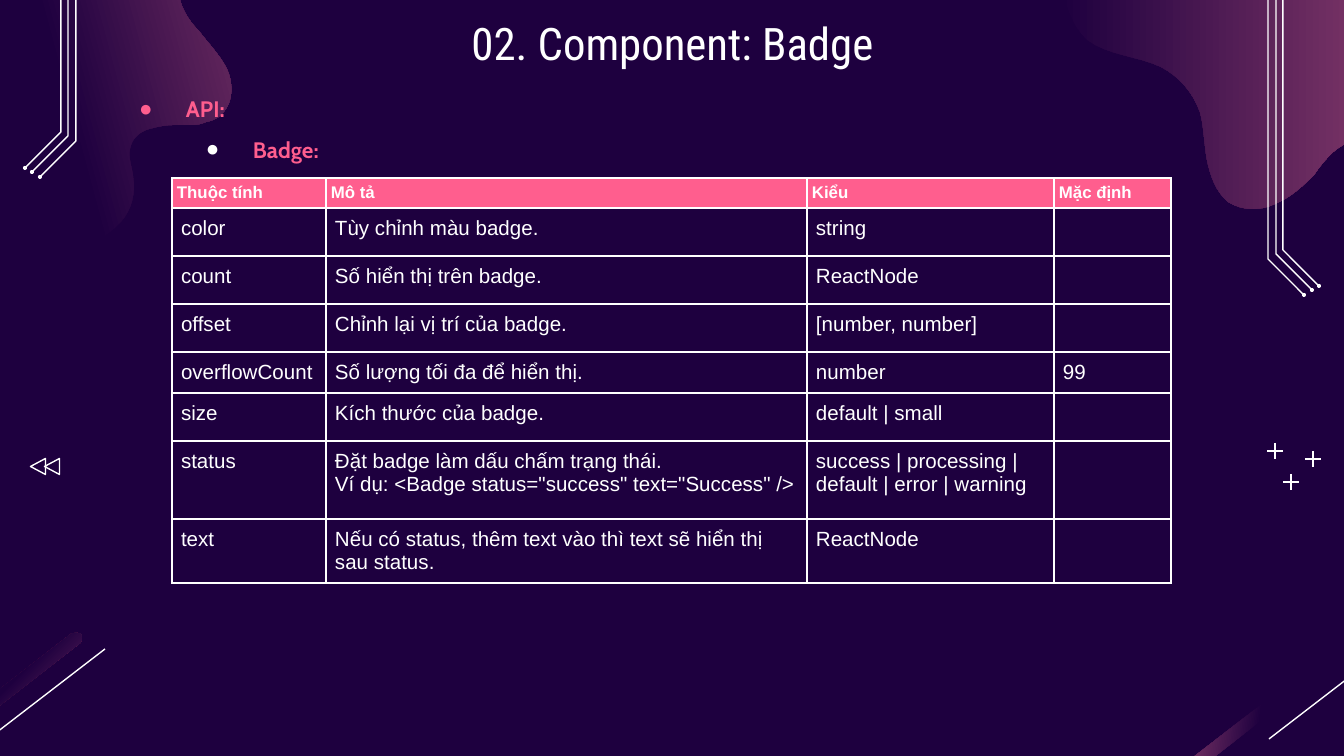
from lxml import etree
from pptx import Presentation
from pptx import util as u
from pptx.dml import color
from pptx.enum import shapes, text
from pptx.oxml import ns

EMU_PER_PX = 914400 / 134.4
NIGHT, PLUM, PINK, WHITE = "1E003F", "A64D79", "FF5E8E", "FFFFFF"


def px(length):
    return u.Emu(round(length * EMU_PER_PX))


def rgb(value):
    return color.RGBColor.from_string(value)


def add_tag(parent, tag, **attributes):
    return etree.SubElement(parent, ns.qn(tag), attributes)


def flatten(start, segments, steps=8):
    """Points along an outline; a segment holds 2 numbers (line) or 6 (curve)."""
    points = [start]
    for segment in segments:
        if len(segment) == 2:
            points.append(segment)
            continue
        ends = [points[-1], segment[:2], segment[2:4], segment[4:]]
        for step in range(1, steps + 1):
            t = step / steps
            weights = ((1 - t) ** 3, 3 * t * (1 - t) ** 2, 3 * t * t * (1 - t), t ** 3)
            points.append(tuple(sum(w * end[axis] for w, end in zip(weights, ends))
                                for axis in (0, 1)))
    return points


class Board:
    def __init__(self, deck):
        self.page = deck.slides.add_slide(deck.slide_layouts[5])
        self.page.background.fill.solid()
        self.page.background.fill.fore_color.rgb = rgb(NIGHT)
        self.items = self.page.shapes

    def stroke(self, item):
        item.line.color.rgb = rgb(WHITE)
        item.line.width = u.Pt(0.75)

    def span(self, para, words, size, font, hue=WHITE, bold=False):
        span = para.add_run()
        span.text = words
        span.font.size, span.font.name, span.font.bold = u.Pt(size), font, bold
        span.font.color.rgb = rgb(hue)

    def outline(self, points, closed=True):
        start, *rest = [(px(x), px(y)) for x, y in points]
        builder = self.items.build_freeform(*start, scale=1.0)
        builder.add_line_segments(rest, close=closed)
        shape = builder.convert_to_shape()
        shape.shadow.inherit = False
        return shape

    def glow(self, points, angle, dark_until=0, radial=False):
        shape = self.outline(points)
        shape.line.fill.background()
        shape.fill.gradient()
        shape.fill.gradient_angle = angle
        for stop, hue, position in zip(shape.fill.gradient_stops, (NIGHT, PLUM), (dark_until, 1)):
            stop.color.rgb = rgb(hue)
            stop.position = position
        if radial:
            linear = shape.element.spPr.find(".//" + ns.qn("a:lin"))
            grad = linear.getparent()
            grad.remove(linear)
            add_tag(add_tag(grad, "a:path", path="circle"), "a:fillToRect", r="100000", b="100000")

    def polyline(self, points):
        shape = self.outline(points, closed=False)
        shape.fill.background()
        self.stroke(shape)

    def line(self, x1, y1, x2, y2):
        line = self.items.add_connector(shapes.MSO_CONNECTOR.STRAIGHT, px(x1), px(y1), px(x2), px(y2))
        self.stroke(line)
        add_tag(line.element.spPr, "a:effectLst")

    def dot(self, x, y, size=4):
        dot = self.items.add_shape(shapes.MSO_SHAPE.OVAL, px(x - size / 2), px(y - size / 2),
                                   px(size), px(size))
        dot.shadow.inherit = False
        dot.fill.solid()
        dot.fill.fore_color.rgb = rgb(WHITE)
        dot.line.fill.background()

    def triangle(self, left, top, width, height):
        shape = self.items.add_shape(shapes.MSO_SHAPE.ISOSCELES_TRIANGLE,
                                     px(left), px(top), px(width), px(height))
        shape.rotation = 270
        shape.shadow.inherit = False
        shape.fill.background()
        self.stroke(shape)

    def frame(self, box, left, top, width, height, inset=13):
        box.left, box.top, box.width, box.height = px(left), px(top), px(width), px(height)
        frame = box.text_frame
        frame.word_wrap = True
        frame.auto_size = text.MSO_AUTO_SIZE.NONE
        frame.margin_left = frame.margin_right = frame.margin_top = frame.margin_bottom = px(inset)
        return frame

    def title(self, words, *place):
        frame = self.frame(self.items.title, *place)
        frame.vertical_anchor = text.MSO_ANCHOR.MIDDLE
        para = frame.paragraphs[0]
        para.alignment = text.PP_ALIGN.CENTER
        self.span(para, words, 24, "Roboto Condensed")

    def bullets(self, entries, *place):
        frame = self.frame(self.items.add_textbox(0, 0, 0, 0), *place)
        for level, (words, bullet_hue) in enumerate(entries):
            para = frame.add_paragraph() if level else frame.paragraphs[0]
            para.level, para.line_spacing = level, 1.5
            props = para._p.get_or_add_pPr()
            props.set("marL", str(px(67 * (level + 1))))
            props.set("indent", str(px(-47)))
            add_tag(add_tag(props, "a:buClr"), "a:srgbClr", val=bullet_hue)
            add_tag(props, "a:buFont", typeface="Arial")
            add_tag(props, "a:buChar", char="●")
            self.span(para, words, 12, "Cabin", PINK, True)

    def table(self, rows, left, top, widths, heights):
        grid = self.items.add_table(len(rows), len(widths), px(left), px(top),
                                    px(sum(widths)), px(sum(heights))).table
        grid.first_row = grid.horz_banding = False
        for column, width in zip(grid.columns, widths):
            column.width = px(width)
        for index, (row, height) in enumerate(zip(rows, heights)):
            grid.rows[index].height = px(height)
            for cell, words in zip(grid.rows[index].cells, row):
                self.cell(cell, words, header=index == 0)

    def cell(self, cell, words, header):
        inset = 5 if header else 9
        cell.margin_left = cell.margin_right = px(inset)
        cell.margin_top = cell.margin_bottom = px(inset if words else 0)
        props = cell._tc.get_or_add_tcPr()
        for side in ("a:lnL", "a:lnR", "a:lnT", "a:lnB"):
            border = add_tag(props, side, w=str(u.Pt(1)))
            add_tag(add_tag(border, "a:solidFill"), "a:srgbClr", val=WHITE)
        if header:
            cell.fill.solid()
            cell.fill.fore_color.rgb = rgb(PINK)
        else:
            cell.fill.background()
        for number, words_line in enumerate(words.split("\n") if words else []):
            para = cell.text_frame.add_paragraph() if number else cell.text_frame.paragraphs[0]
            self.span(para, words_line, 9 if header else 11, "Arial", bold=header)


LEFT_WAVE = flatten((65, 255), [
    (99, 246, 116, 227, 121, 222), (132, 210, 136, 192, 133, 176), (132, 167, 128, 157, 130, 149),
    (132, 137, 142, 130, 153, 128), (167, 124, 179, 125, 191, 125), (196, 125, 202, 124, 206, 122),
    (212, 121, 219, 118, 223, 113), (234, 101, 233, 82, 227, 69), (220, 55, 208, 43, 199, 31),
    (188, 20, 179, 5, 179, -9), (179, -22, 183, -34, 192, -42), (198, -47, 206, -51, 214, -52),
    (226, -56, 241, -56, 255, -55), (270, -55, 285, -54, 300, -56), (319, -62, 331, -69, 339, -78),
    (348, -89, 351, -105, 347, -117), (344, -141, 328, -168, 313, -180),
    (289, -202, 255, -208, 224, -203), (173, -188, 138, -148, 94, -128),
    (87, -125, 79, -122, 73, -121), (30, -109, -17, -114, -63, -110),
    (-83, -109, -103, -105, -122, -99), (-140, -95, -156, -90, -172, -82),
    (-195, -73, -218, -59, -234, -40), (-250, -23, -262, 3, -261, 30),
    (-259, 62, -237, 91, -210, 108), (-181, 125, -151, 130, -118, 133),
    (-99, 136, -81, 136, -62, 142), (-43, 148, -26, 160, -17, 179),
    (-11, 194, -11, 208, -4, 223), (8, 247, 39, 262, 63, 255)])
RIGHT_WAVE = flatten((1512, 51), [
    (1512, 17, 1503, -17, 1485, -47), (1470, -73, 1449, -94, 1422, -103),
    (1392, -114, 1360, -109, 1329, -113), (1300, -117, 1270, -130, 1249, -152),
    (1234, -165, 1222, -181, 1206, -190), (1187, -199, 1165, -196, 1145, -192),
    (1129, -188, 1113, -183, 1101, -173), (1079, -157, 1070, -130, 1066, -105),
    (1062, -87, 1060, -69, 1060, -51), (1060, -42, 1060, -32, 1062, -24),
    (1063, 0, 1070, 24, 1087, 40), (1109, 56, 1138, 56, 1161, 67), (1180, 77, 1193, 93, 1200, 112),
    (1204, 126, 1204, 144, 1207, 160), (1210, 175, 1216, 192, 1228, 202),
    (1242, 211, 1261, 211, 1275, 204), (1290, 198, 1302, 187, 1314, 175),
    (1321, 165, 1328, 156, 1337, 149), (1347, 142, 1357, 138, 1368, 142),
    (1388, 148, 1395, 175, 1414, 185), (1458, 211, 1489, 151, 1501, 118),
    (1508, 97, 1512, 74, 1512, 51)])
STREAK = flatten((75, 633), [(77, 633, 79, 633, 81, 634), (82, 638, 82, 642, 79, 644), (-109, 790),
                             (-113, 791, -117, 791, -118, 789), (-121, 786, -121, 782, -117, 780),
                             (71, 634)])
RAILS = [[(61, -278), (61, 132), (25, 168)], [(68, -278), (68, 136), (32, 172)],
         [(76, -278), (76, 141), (40, 177)]]
ROWS = [
    ("Thuộc tính", "Mô tả", "Kiểu", "Mặc định"),
    ("color", "Tùy chỉnh màu badge.", "string", ""),
    ("count", "Số hiển thị trên badge.", "ReactNode", ""),
    ("offset", "Chỉnh lại vị trí của badge.", "[number, number]", ""),
    ("overflowCount", "Số lượng tối đa để hiển thị.", "number", "99"),
    ("size", "Kích thước của badge.", "default | small", ""),
    ("status", "Đặt badge làm dấu chấm trạng thái.\nVí dụ: <Badge status=\"success\" text=\"Success\" />",
     "success | processing | default | error | warning", ""),
    ("text", "Nếu có status, thêm text vào thì text sẽ hiển thị sau status.", "ReactNode", "")]


def main():
    deck = Presentation()
    deck.slide_width, deck.slide_height = px(1344), px(756)
    board = Board(deck)
    # Glowing waves and corner streaks
    board.glow(LEFT_WAVE, 15, dark_until=0.5)
    board.glow(RIGHT_WAVE, 0)
    for shift, radial in ((0, True), (1281, False)):
        board.glow([(x + shift, y) for x, y in STREAK], 173, dark_until=0.5, radial=radial)
        board.line(105 + shift, 649, shift - 12, 739)
    # Rails: the right set mirrors the left one, 118 px lower
    for rail in RAILS:
        for points in (rail, [(1344 - x, y + 118) for x, y in rail]):
            board.polyline(points)
            board.dot(*points[-1])
    # Plus signs and rewind mark
    for x, y in ((1291, 482), (1313, 459), (1275, 451)):
        board.line(x - 8, y, x + 8, y)
        board.line(x, y - 8, x, y + 8)
    for left in (30, 44):
        board.triangle(left, 459, 16, 15)
    # Heading, bullets and property table
    board.title("02. Component: Badge", 106, 0, 1133, 85)
    board.bullets([("API:", PINK), ("Badge:", WHITE)], 106, 69, 1091, 98)
    board.table(ROWS, 172, 178, (154, 481, 247, 117), (30, 48, 48, 48, 41, 48, 78, 64))
    deck.save("out.pptx")


if __name__ == "__main__":
    main()
